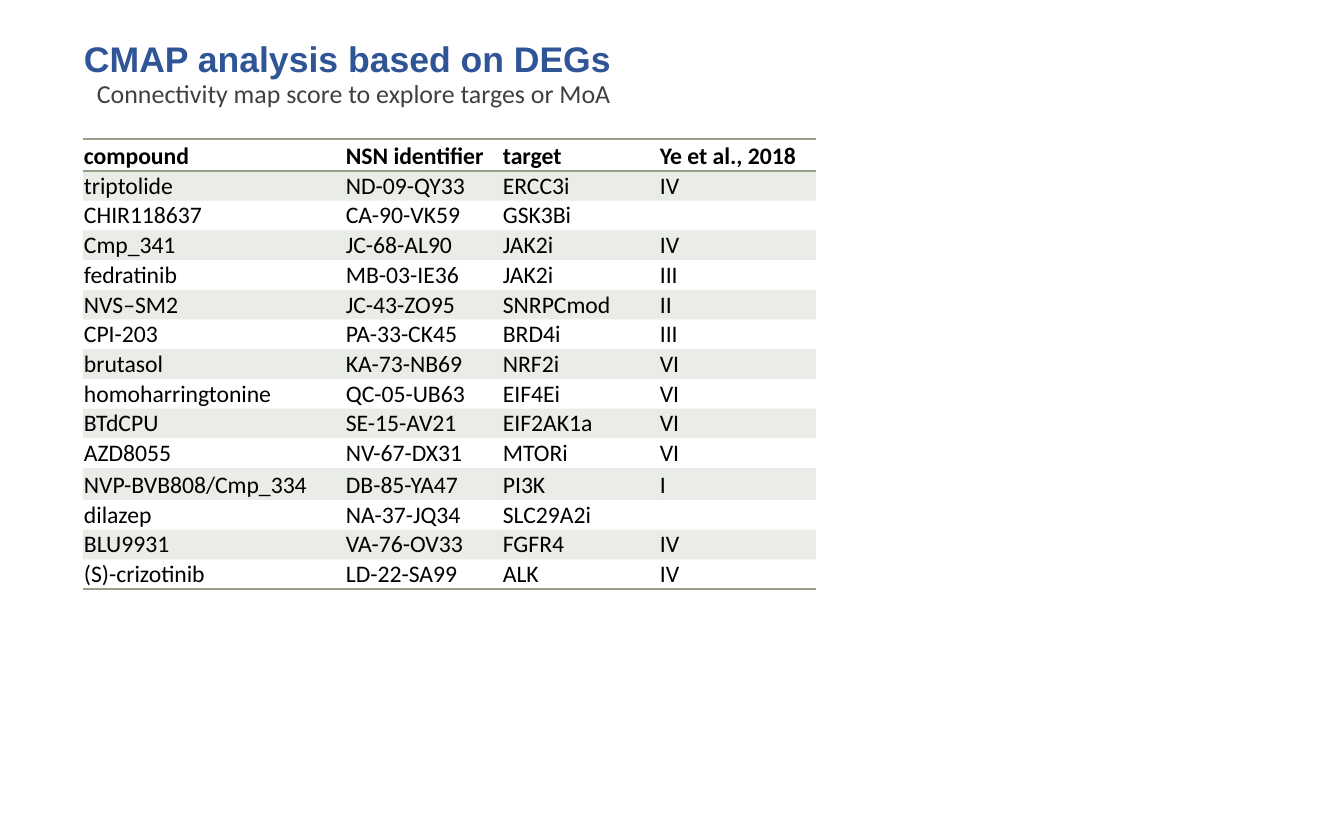
from lxml import etree
from pptx import Presentation
from pptx.dml.color import RGBColor
from pptx.enum.text import MSO_ANCHOR
from pptx.oxml.ns import qn
from pptx.util import Emu, Pt

EMU_PER_PX = 8572.5
BLUE = RGBColor(0x2F, 0x55, 0x97)
GREY = RGBColor(0x40, 0x40, 0x40)
BLACK = RGBColor(0, 0, 0)
SAGE = RGBColor(0x94, 0xA0, 0x88)
BULLET_ORANGE = RGBColor(0xE4, 0x83, 0x12)
BOTTOM = MSO_ANCHOR.BOTTOM
PLAIN_TABLE_STYLE = "{2D5ABB26-0587-4C30-8999-92F81FD0307C}"

COLUMN_WIDTHS = (262, 157, 157, 157)
HEADER_HEIGHT = 32
TALL_ROW_HEIGHT = 32
TALL_ROW = 11
BODY_HEIGHT = 418
COMPOUNDS = (
    ("compound", "NSN identifier", "target", "Ye et al., 2018"),
    ("triptolide", "ND-09-QY33", "ERCC3i", "IV"),
    ("CHIR118637", "CA-90-VK59", "GSK3Bi", ""),
    ("Cmp_341", "JC-68-AL90", "JAK2i", "IV"),
    ("fedratinib", "MB-03-IE36", "JAK2i", "III"),
    ("NVS–SM2", "JC-43-ZO95", "SNRPCmod", "II"),
    ("CPI-203", "PA-33-CK45", "BRD4i", "III"),
    ("brutasol", "KA-73-NB69", "NRF2i", "VI"),
    ("homoharringtonine", "QC-05-UB63", "EIF4Ei", "VI"),
    ("BTdCPU", "SE-15-AV21", "EIF2AK1a", "VI"),
    ("AZD8055", "NV-67-DX31", "MTORi", "VI"),
    ("NVP-BVB808/Cmp_334", "DB-85-YA47", "PI3K", "I"),
    ("dilazep", "NA-37-JQ34", "SLC29A2i", ""),
    ("BLU9931", "VA-76-OV33", "FGFR4", "IV"),
    ("(S)-crizotinib", "LD-22-SA99", "ALK", "IV"),
)


def px(length):
    return Emu(round(length * EMU_PER_PX))


def add_run(para, text, font_name, size, color, bold=False):
    run = para.add_run()
    run.text = text
    font = run.font
    font.name, font.size, font.bold = font_name, Pt(size), bold
    font.color.rgb = color


def add_heading(page, left, top, width, height, line_spacing):
    """Add a one-line text box and return its paragraph."""
    box = page.shapes.add_textbox(px(left), px(top), px(width), px(height))
    frame = box.text_frame
    frame.word_wrap = True
    frame.margin_left = frame.margin_right = 0
    frame.margin_top = frame.margin_bottom = px(5)
    para = frame.paragraphs[0]
    para.line_spacing = line_spacing
    para.space_after = Pt(1.9)
    return para


def add_blank_bullet(para, indent):
    properties = para._p.get_or_add_pPr()
    properties.set("marL", str(px(indent)))
    properties.set("indent", str(-px(indent)))
    color = etree.SubElement(properties, qn("a:buClr"))
    etree.SubElement(color, qn("a:srgbClr"), val=str(BULLET_ORANGE))
    etree.SubElement(properties, qn("a:buChar"), char=" ")


def add_rule(cell, side):
    """Draw a one-point border; side is a:lnT or a:lnB."""
    line = etree.Element(qn(side), w=str(Pt(1)))
    fill = etree.SubElement(line, qn("a:solidFill"))
    etree.SubElement(fill, qn("a:srgbClr"), val=str(SAGE))
    cell._tc.get_or_add_tcPr().insert(0, line)


def shade(cell, opacity):
    cell.fill.solid()
    cell.fill.fore_color.rgb = SAGE
    color = cell._tc.tcPr.find(".//" + qn("a:srgbClr"))
    etree.SubElement(color, qn("a:alpha"), val=str(opacity * 1000))


def fill_cell(cell, text, row):
    cell.vertical_anchor = BOTTOM
    cell.margin_left = cell.margin_right = px(1)
    cell.margin_top, cell.margin_bottom = Pt(0.5), 0
    para = cell.text_frame.paragraphs[0]
    if text:
        add_run(para, text, "Calibri", 16, BLACK, bold=row == 0)
    else:
        etree.SubElement(para._p, qn("a:endParaRPr"), sz="1600")
    if row % 2:
        shade(cell, 20)
    else:
        cell.fill.background()
    if row in (0, len(COMPOUNDS) - 1):
        add_rule(cell, "a:lnB")
    if row == 0:
        add_rule(cell, "a:lnT")


def add_compound_table(page, left, top):
    row_count = len(COMPOUNDS)
    frame = page.shapes.add_table(
        row_count, len(COLUMN_WIDTHS), px(left), px(top),
        px(sum(COLUMN_WIDTHS)), px(HEADER_HEIGHT + BODY_HEIGHT))
    table = frame.table
    table.first_row = table.horz_banding = False
    table._tbl.tblPr.find(qn("a:tableStyleId")).text = PLAIN_TABLE_STYLE
    for column, width in zip(table.columns, COLUMN_WIDTHS):
        column.width = px(width)
    plain_height = (BODY_HEIGHT - TALL_ROW_HEIGHT) / (row_count - 2)
    special_heights = {0: HEADER_HEIGHT, TALL_ROW: TALL_ROW_HEIGHT}
    for row, texts in enumerate(COMPOUNDS):
        table.rows[row].height = px(special_heights.get(row, plain_height))
        for column, text in enumerate(texts):
            fill_cell(table.cell(row, column), text, row)


def main():
    deck = Presentation()
    deck.slide_width, deck.slide_height = px(1344), px(840)
    page = deck.slides.add_slide(deck.slide_layouts[6])
    title = add_heading(page, 84, 40, 1052, 48, 0.8)
    add_run(title, "CMAP analysis based on DEGs", "Arial", 24, BLUE, bold=True)
    subtitle = add_heading(page, 84, 81, 1187, 35, 0.7)
    subtitle.space_before = Pt(11.3)
    add_blank_bullet(subtitle, 10)
    add_run(subtitle, "Connectivity map score to explore targes or MoA",
            "Calibri", 17.5, GREY)
    add_compound_table(page, 83, 139)
    deck.save("out.pptx")


if __name__ == "__main__":
    main()
